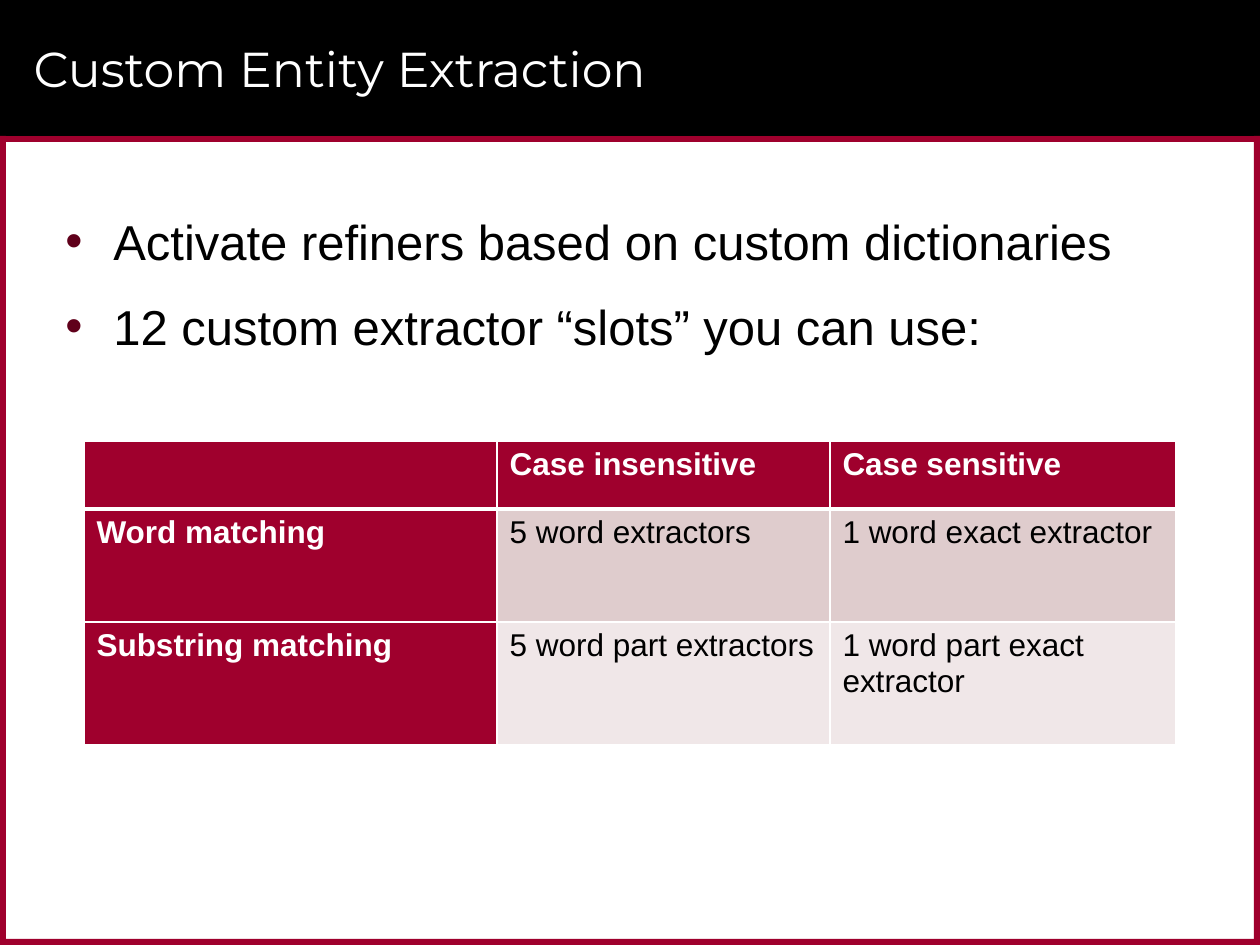
from lxml.etree import SubElement
from pptx import Presentation
from pptx.dml.color import RGBColor
from pptx.enum.shapes import MSO_SHAPE
from pptx.enum.text import MSO_ANCHOR, PP_ALIGN
from pptx.oxml.ns import qn
from pptx.util import Pt

PX = 914400 // 126
W, H = 1260, 945
HEADER, EDGE = 136, 6

COLORS = {"black": "000000", "white": "FFFFFF", "red": "9F002D",
          "bullet": "60001B", "band1": "DFCCCD", "band2": "F0E7E8"}

TITLE = "Custom Entity Extraction"
BULLETS = ["Activate refiners based on custom dictionaries",
           "12 custom extractor “slots” you can use:"]
TABLE = [["", "Case insensitive", "Case sensitive"],
         ["Word matching", "5 word extractors", "1 word exact extractor"],
         ["Substring matching", "5 word part extractors", "1 word part exact extractor"]]
TABLE_LEFT, TABLE_TOP = 84, 441
COL_WIDTHS = [413, 333, 346]
ROW_HEIGHTS = [68, 113, 123]

BARS = [((0, 0, W, HEADER), "black"),
        ((0, HEADER, W, EDGE), "red"),
        ((0, H - EDGE, W, EDGE), "red"),
        ((W - EDGE, HEADER, EDGE, H - HEADER), "red"),
        ((0, HEADER, EDGE, H - HEADER), "red")]


def rgb(name):
    return RGBColor.from_string(COLORS[name])


def emu(*lengths):
    return [n * PX for n in lengths]


def add_run(p, text, size, color, font="Arial", bold=False):
    r = p.add_run()
    r.text = text
    r.font.name, r.font.size, r.font.bold = font, Pt(size), bold
    r.font.color.rgb = rgb(color)


def add_bullet(p):
    pPr = p._p.get_or_add_pPr()
    pPr.set("marL", str(48 * PX))
    pPr.set("indent", str(-48 * PX))
    color = SubElement(pPr, qn("a:buClr"))
    SubElement(color, qn("a:srgbClr"), val=COLORS["bullet"])
    SubElement(pPr, qn("a:buFont"), typeface="Arial")
    SubElement(pPr, qn("a:buChar"), char="•")


def add_borders(cell, widths):
    """Draw white cell borders; widths maps a side (L, R, T, B) to points."""
    tcPr = cell._tc.get_or_add_tcPr()
    for side, width in widths.items():
        ln = SubElement(tcPr, qn(f"a:ln{side}"), w=str(Pt(width)))
        fill = SubElement(ln, qn("a:solidFill"))
        SubElement(fill, qn("a:srgbClr"), val=COLORS["white"])


def add_frame(s):
    for box, color in BARS:
        sp = s.shapes.add_shape(MSO_SHAPE.RECTANGLE, *emu(*box))
        sp.shadow.inherit = False
        sp.fill.solid()
        sp.fill.fore_color.rgb = rgb(color)
        sp.line.fill.background()


def add_title(s):
    title = s.shapes.title
    title.left, title.top, title.width, title.height = emu(21, 10, 1187, 116)
    tf = title.text_frame
    tf.vertical_anchor = MSO_ANCHOR.MIDDLE
    p = tf.paragraphs[0]
    p.alignment = PP_ALIGN.LEFT
    add_run(p, TITLE, 28, "white", "Montserrat")
    tree = s.shapes._spTree
    tree.remove(title._element)
    tree.append(title._element)  # in front of the header band


def add_bullets(s):
    tf = s.shapes.add_textbox(*emu(53, 202, 1155, 714)).text_frame
    tf.word_wrap = True
    for i, text in enumerate(BULLETS):
        p = tf.paragraphs[0] if i == 0 else tf.add_paragraph()
        add_bullet(p)
        p.line_spacing = 1.05
        p.space_before = Pt(11.5 if i else 0)
        p.space_after = Pt(2)
        add_run(p, text, 28, "black")


def add_matching_table(s):
    box = emu(TABLE_LEFT, TABLE_TOP, sum(COL_WIDTHS), sum(ROW_HEIGHTS))
    table = s.shapes.add_table(len(TABLE), len(TABLE[0]), *box).table
    for col, width in zip(table.columns, COL_WIDTHS):
        col.width = width * PX
    for row, height in zip(table.rows, ROW_HEIGHTS):
        row.height = height * PX
    for i, texts in enumerate(TABLE):
        for j, text in enumerate(texts):
            cell = table.cell(i, j)
            heading = i == 0 or j == 0
            add_borders(cell, {"L": 1, "R": 1, "T": 3 if i == 1 else 1,
                               "B": 3 if i == 0 else 1})
            cell.fill.solid()
            cell.fill.fore_color.rgb = rgb("red" if heading else f"band{i}")
            if text:
                add_run(cell.text_frame.paragraphs[0], text, 18,
                        "white" if heading else "black", bold=heading)


def main():
    prs = Presentation()
    prs.slide_width, prs.slide_height = emu(W, H)
    s = prs.slides.add_slide(prs.slide_layouts[5])
    add_frame(s)
    add_title(s)
    add_bullets(s)
    add_matching_table(s)
    prs.save("out.pptx")


if __name__ == "__main__":
    main()
